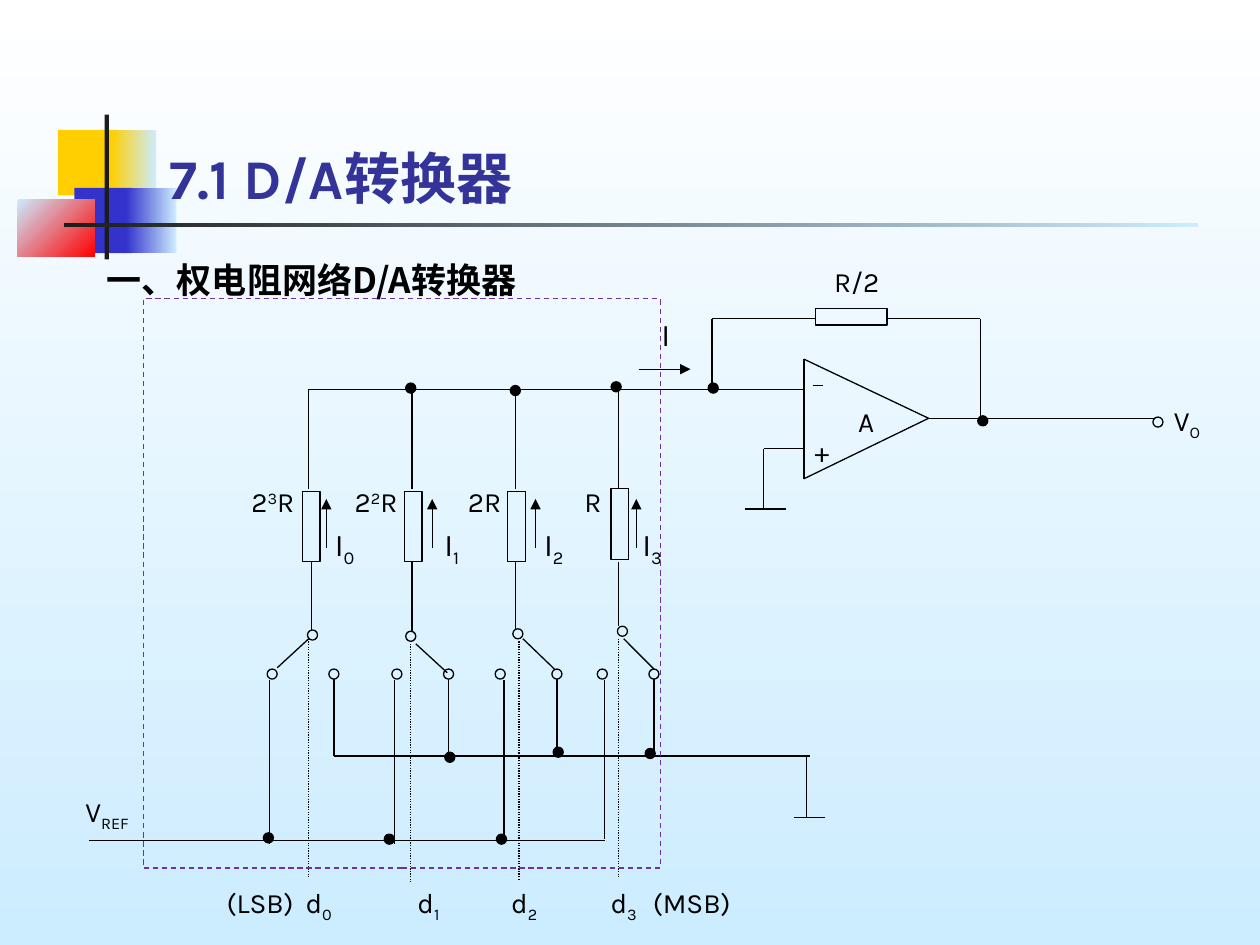
from collections import namedtuple
from itertools import pairwise

from lxml import etree
from pptx import Presentation
from pptx import util as u
from pptx.dml import color
from pptx.enum import dml, shapes, text
from pptx.oxml import ns

COLUMNS, ROWS = 100, 75
CELL = u.Inches(0.1)
DOT = 0.8
BLACK, SKY, NIGHT = "000000", "CCECFF", "1C1C1C"
YELLOW, BLUE = "FFCF01", "3333CC"
LATIN, CJK = "Karla", "Noto Sans CJK SC"

Branch = namedtuple(
    "Branch",
    "top bottom resistor pole arm reference reference_throw ground ground_throw "
    "control arrow value value_at current_at digit_at",
)
BRANCHES = [
    Branch(24.5, 24.7, 24, (24.4, 50), [(22, 53), (24.5, 50.7)], (21.4, 67), 21.2,
           26.5, 26.1, (24.5, 50.7), 25.9, [("2", 0), ("3", 30), ("R", 0)],
           (18.8, 5.7), (24.9, 4.9), (22.8, 5)),
    Branch(32.7, 32.7, 32.1, (32.2, 50.1), [(33, 51.1), (35.5, 53.4)], (31.3, 67), 31.1,
           35.6, 35.2, (32.6, 51.1), 34.3, [("2", 0), ("2", 30), ("R", 0)],
           (27, 5.7), (33.8, 4.1), (31.1, 5.8)),
    Branch(40.9, 40.9, 40.3, (40.7, 49.9), [(41.5, 50.7), (44, 53.1)], (40, 66.6), 39.3,
           44.2, 43.8, (41.2, 50.9), 42.5, [("2R", 0)],
           (36, 4.9), (41.5, 4.9), (39.5, 4.2)),
    Branch(49.1, 49.1, 48.5, (49, 49.7), [(49.5, 50.7), (51.9, 53.1)], (48, 66.6), 47.4,
           51.9, 51.5, (49.1, 50.7), 50.5, [("R", 0)],
           (45, 4.1), (49.7, 4.1), (47, 5)),
]
JUNCTIONS = [
    (77.6, 33), (56.2, 30.4), (40.5, 30.6), (48.5, 30.3), (32.2, 30.4),
    (20.9, 66.1), (30.5, 66.2), (39.4, 66.2), (35.3, 59.7), (51.2, 59.4), (43.9, 59.3),
]
WIRES = [
    [(48, 66.7), (7.1, 66.7)],
    [(63.8, 30.9), (24.5, 30.9)],
    [(56.5, 30.8), (56.5, 25.3), (64.7, 25.3)],
    [(70.4, 25.3), (77.8, 25.3), (77.8, 33.2)],
    [(73.7, 33.2), (91.7, 33.2)],
    [(63.8, 35.6), (60.6, 35.6), (60.6, 40.4)],
    [(59.1, 40.4), (62.4, 40.4)],
    [(63.8, 28.5), (63.8, 38), (73.7, 33.2), (63.8, 28.5)],
    [(64.5, 30.6), (65.3, 30.6)],
    [(26.5, 60), (64.3, 60)],
    [(64, 60), (64, 64.9)],
    [(63, 64.9), (65.5, 64.9)],
]
LABELS = [
    ((16.1, 69.8, 9.1, 3.7), [("(LSB)", 0)], 16),
    ((50.3, 69.8, 9.2, 3.7), [("(MSB)", 0)], 16),
    ((64.7, 20.5, 6.6, 3.7), [("R/2", 0)], 16),
    ((63.6, 34, 3.3, 3.7), [("+", 0)], 16),
    ((67.1, 31.6, 3.3, 3.7), [("A", 0)], 16),
    ((51.5, 24.5, 2.5, 4), [("I", 0)], 18),
    ((90.9, 31.5, 6.6, 4.1), [("V", 0), ("O", -25)], 16),
    ((4.8, 62.6, 7.4, 4.1), [("V", 0), ("REF", -25)], 16),
]
ORNAMENTS = [
    ((4.6, 10.3, 4.8, 5.2), [YELLOW], 0),
    ((8.8, 10.3, 3.6, 5.2), [YELLOW, SKY], 0),
    ((5.9, 14.9, 4.6, 5.2), [BLUE], 0),
    ((10, 14.9, 4, 5.2), [BLUE, SKY], 0),
    ((1.4, 15.8, 6.1, 4.6), [SKY, "FF0000"], 45),
    ((8.3, 9.1, 0.35, 11.5), [NIGHT], 0),
    ((5.1, 17.7, 90, 0.3), [NIGHT, SKY], 0),
]


def rgb(code):
    """Turn a hex string into a colour."""
    return color.RGBColor.from_string(code)


def grid(*cells):
    """Turn grid counts into lengths."""
    return [round(cell * CELL) for cell in cells]


def paint(fill, codes, angle=0):
    """Fill with nothing, one colour, or a gradient turned clockwise."""
    if not codes:
        fill.background()
    elif len(codes) == 1:
        fill.solid()
        fill.fore_color.rgb = rgb(codes[0])
    else:
        fill.gradient()
        for stop, code in zip(fill.gradient_stops, codes):
            stop.color.rgb = rgb(code)
        fill.gradient_angle = (360 - angle) % 360


def add_block(page, at, codes=(), angle=0, outline=None, kind="RECTANGLE"):
    """Add a preset shape with a fill and an optional outline."""
    block = page.shapes.add_shape(getattr(shapes.MSO_SHAPE, kind), *grid(*at))
    block.shadow.inherit = False
    paint(block.fill, codes, angle)
    if outline:
        block.line.color.rgb = rgb(outline)
        block.line.width = u.Pt(0.75)
    else:
        block.line.fill.background()
    return block


def add_node(page, at, codes=()):
    """Add an open terminal or a filled junction."""
    add_block(page, (*at, DOT, DOT), codes, outline=BLACK, kind="OVAL")


def add_wire(page, points, dash=None, arrow=False):
    """Join the points with straight wires."""
    for start, end in pairwise(points):
        wire = page.shapes.add_connector(
            shapes.MSO_CONNECTOR.STRAIGHT, *grid(*start, *end))
        etree.SubElement(wire._element.spPr, ns.qn("a:effectLst"))
        wire.line.color.rgb = rgb(BLACK)
        wire.line.width = u.Pt(0.75)
        if dash:
            wire.line.dash_style = dash
        if arrow:
            tip = etree.SubElement(wire.line._get_or_add_ln(), ns.qn("a:tailEnd"))
            tip.set("type", "triangle")


def add_label(page, at, pieces, size, code=BLACK, font=LATIN, heading=False):
    """Add text whose pieces each carry a baseline shift in percent."""
    frame = page.shapes.add_textbox(*grid(*at)).text_frame
    frame.word_wrap = True
    para = frame.paragraphs[0]
    para.alignment = text.PP_ALIGN.LEFT if heading else text.PP_ALIGN.CENTER
    para.font.size = u.Pt(size)
    para.font.name = font
    para.font.bold = heading
    para.font.color.rgb = rgb(code)
    etree.SubElement(para.font._element, ns.qn("a:ea")).set("typeface", CJK)
    for words, shift in pieces:
        span = para.add_run()
        span.text = words
        if shift:
            span.font._element.set("baseline", str(shift * 1000))
    return frame


def add_branch(page, bit, branch):
    """Add one weighted resistor with its switch and labels."""
    add_wire(page, [(branch.top, 30.9), (branch.top, 38.8)])
    add_block(page, (branch.resistor, 38.8 if bit == 3 else 39, 1.4, 5.6), outline=BLACK)
    add_wire(page, [(branch.bottom, 44.6), (branch.bottom, branch.pole[1])])
    add_wire(page, branch.arm)
    for at in (branch.pole, (branch.reference_throw, 53.1), (branch.ground_throw, 53.1)):
        add_node(page, at)
    reference, floor = branch.reference
    add_wire(page, [(reference, 54), (reference, floor)])
    add_wire(page, [(branch.ground, 53.9), (branch.ground, 60)])
    left, top = branch.control
    add_wire(page, [(left, top), (left, top + 19)], dash=dml.MSO_LINE.ROUND_DOT)
    add_wire(page, [(branch.arrow, 43.5), (branch.arrow, 39.6)], arrow=True)
    for name, (left, width), top, size in (
            ("I", branch.current_at, 41.2, 18), ("d", branch.digit_at, 69.8, 16)):
        add_label(page, (left, top, width, 4.1), [(name, 0), (str(bit), -25)], size)
    left, width = branch.value_at
    add_label(page, (left, 38, width, 3.7), branch.value, 16)


def main():
    """Build the converter slide."""
    deck = Presentation()
    deck.slide_width, deck.slide_height = grid(COLUMNS, ROWS)
    page = deck.slides.add_slide(deck.slide_layouts[6])
    paint(page.background.fill, ["FFFFFF", SKY], 90)
    for at, codes, angle in ORNAMENTS:
        add_block(page, at, codes, angle)
    title = add_label(page, (12.5, 9.2, 78.8, 8), [("7.1 D/A转换器", 0)], 32,
                      "333399", heading=True)
    title.vertical_anchor = text.MSO_ANCHOR.BOTTOM
    subtitle = add_label(page, (7.5, 20, 36.3, 4.4), [("一、权电阻网络D/A转换器", 0)], 20,
                         font=CJK, heading=True)
    subtitle.word_wrap = False
    for points in WIRES:
        add_wire(page, points)
    for bit, branch in enumerate(BRANCHES):
        add_branch(page, bit, branch)
    add_block(page, (64.7, 24.5, 5.7, 1.3), outline=BLACK)
    add_wire(page, [(50.7, 29.3), (54.8, 29.3)], arrow=True)
    add_node(page, (91.5, 33.1))
    for at, pieces, size in LABELS:
        add_label(page, at, pieces, size)
    network = add_block(page, (11.4, 23.7, 41, 45.2), outline="7030A0")
    network.line.dash_style = dml.MSO_LINE.DASH
    for at in JUNCTIONS:
        add_node(page, at, [BLACK])
    deck.save("out.pptx")


if __name__ == "__main__":
    main()
